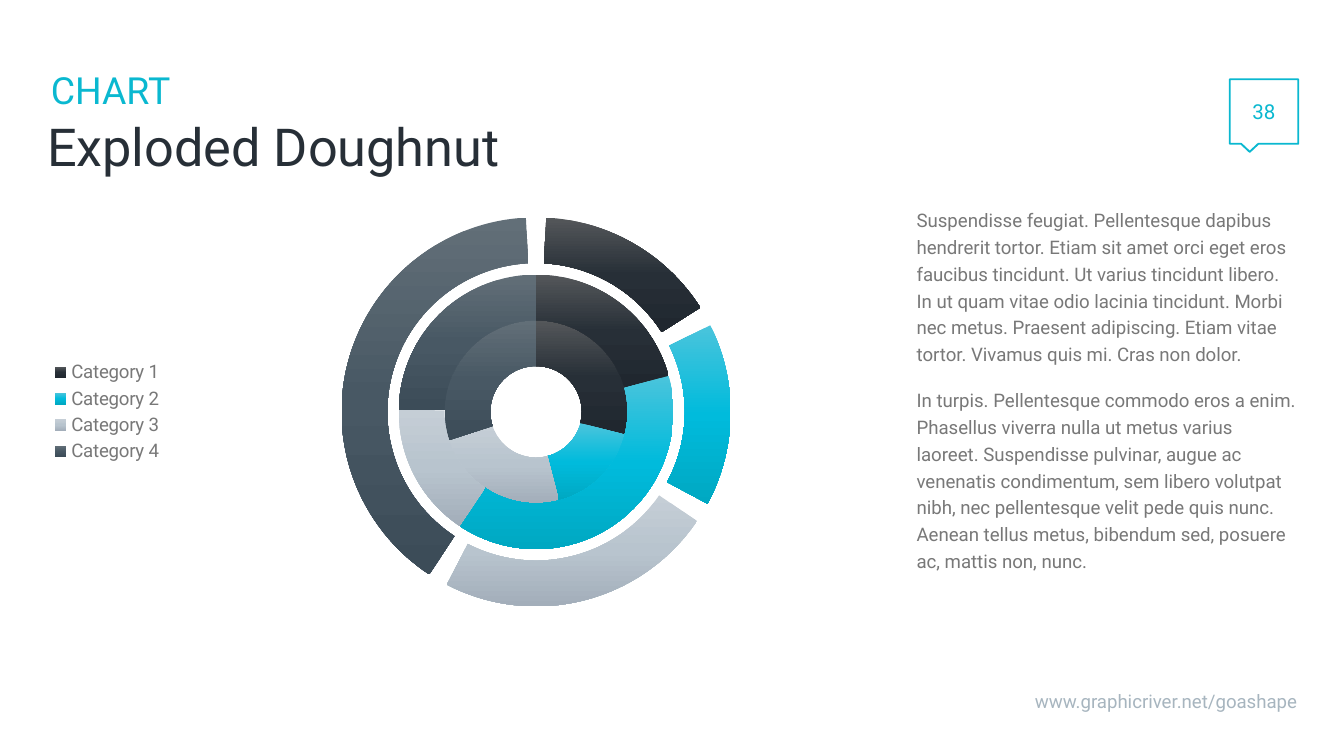
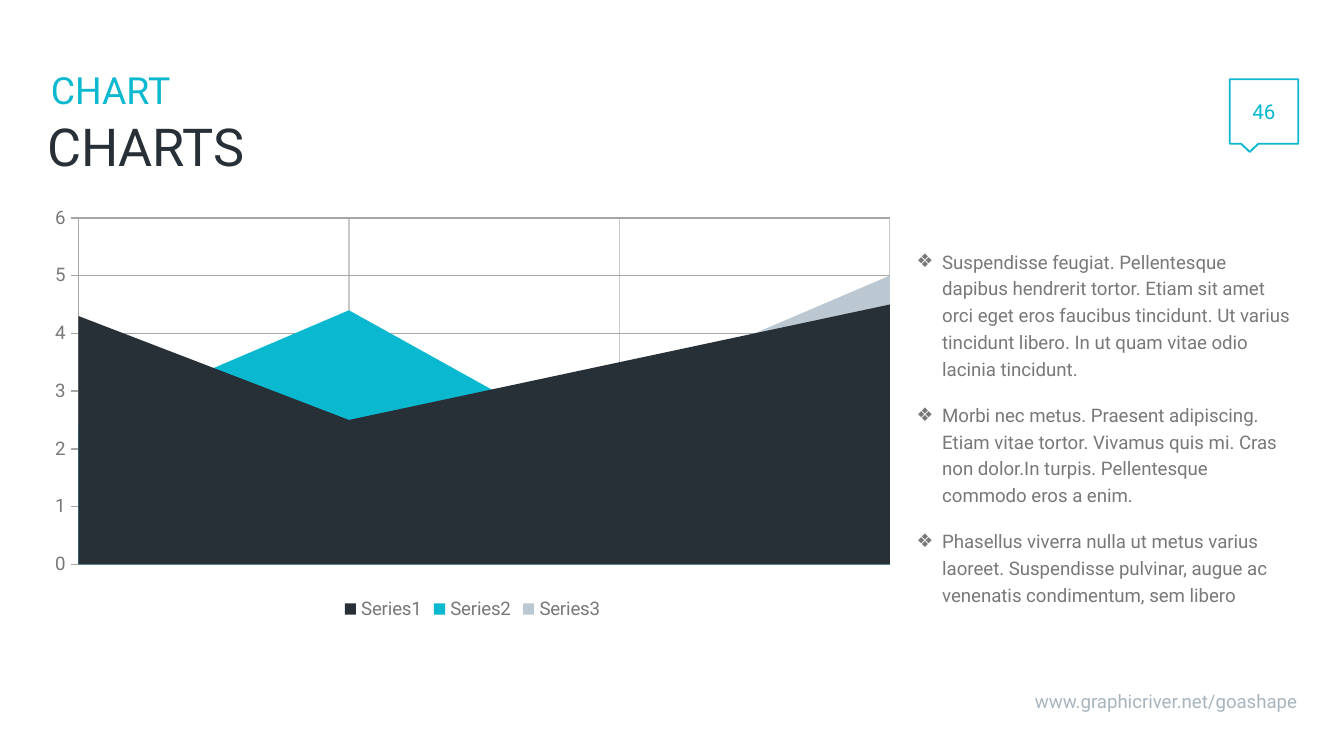
"""Build two chart slides that share a heading, a page callout and a footer."""
from copy import deepcopy
from lxml.etree import SubElement
from pptx import Presentation
from pptx.chart.data import CategoryChartData
from pptx.dml.color import RGBColor
from pptx.enum.chart import XL_CHART_TYPE as CT, XL_LEGEND_POSITION as LP, XL_TICK_MARK as TM
from pptx.enum.shapes import MSO_SHAPE
from pptx.enum.text import MSO_ANCHOR as ANCHOR, MSO_AUTO_SIZE, PP_ALIGN as ALIGN
from pptx.oxml.ns import qn
from pptx.util import Inches, Pt

FONT = "Roboto"
COLORS = {
    "dark": "272F37", "teal": "0AB8D0", "silver": "BCC8D1", "text": "787878",
    "footer": "A7B5BF", "grid": "A6A6A6", "light_grid": "C8C8C8",
}
GRADIENTS = [("54575A", "272F37", "20272F"), ("4AC4DC", "00BBDC", "00A8C2"),
             ("C5CED6", "B8C4CE", "A3AEBA"), ("626F78", "485864", "3C4C58")]
CHART_BOX = (0.28, 1.48, 6.47, 3.17)
BODY_BOX = (6.75, 1.48, 2.97, 3.17)


def rgb(value):
    return RGBColor.from_string(COLORS.get(value, value))


def place(sp, box):
    sp.left, sp.top, sp.width, sp.height = map(Inches, box)


def set_bullet(p, bullet):
    pPr = p._p.get_or_add_pPr()
    indent = Inches(0.19) if bullet else 0
    pPr.set("marL", str(indent))
    pPr.set("indent", str(-indent))
    if bullet:
        SubElement(pPr, qn("a:buChar")).set("char", bullet)
    else:
        SubElement(pPr, qn("a:buNone"))


def write(sp, *texts, size=10, color="text", align=ALIGN.LEFT, anchor=ANCHOR.TOP,
          inset=(0.07, 0, 0.07, 0), spacing=1, before=0, bullet=None, wrap=True):
    tf = sp.text_frame
    tf.auto_size = MSO_AUTO_SIZE.NONE
    tf.word_wrap = wrap
    tf.vertical_anchor = anchor
    tf.margin_left, tf.margin_top, tf.margin_right, tf.margin_bottom = map(Inches, inset)
    for i, text in enumerate(texts):
        p = tf.paragraphs[0] if i == 0 else tf.add_paragraph()
        set_bullet(p, bullet)
        p.alignment = align
        p.line_spacing = spacing
        p.space_before = Pt(before if i else 0)
        r = p.add_run()
        r.text = text
        r.font.name, r.font.size = FONT, Pt(size)
        r.font.color.rgb = rgb(color)


def add_text(s, box, text, **fmt):
    write(s.shapes.add_textbox(*map(Inches, box)), text, **fmt)


def add_callout(s, number):
    sp = s.shapes.add_shape(MSO_SHAPE.RECTANGULAR_CALLOUT,
                            *map(Inches, (9.15, 0.59, 0.51, 0.48)))
    sp.shadow.inherit = False
    sp.fill.background()
    sp.line.color.rgb = rgb("teal")
    sp.line.width = Pt(1)
    write(sp, number, size=11, color="teal", align=ALIGN.CENTER, anchor=ANCHOR.MIDDLE,
          inset=(0.16, 0.15, 0.16, 0.15), wrap=False)


def add_slide(prs, title, number, paragraphs, inset=(0.07, 0.04, 0.07, 0.04), bullet=None):
    s = prs.slides.add_slide(prs.slide_layouts[1])
    add_text(s, (0.28, 0.47, 8.64, 0.43), "CHART", size=20, color="teal",
             anchor=ANCHOR.MIDDLE, inset=(0.1, 0.05, 0.1, 0.05), spacing=0.9)
    place(s.shapes.title, (0.28, 0.9, 8.64, 0.42))
    write(s.shapes.title, title, size=28, color="dark", spacing=0.9)
    add_text(s, (5, 4.83, 4.72, 0.47), "www.graphicriver.net/goashape",
             color="footer", align=ALIGN.RIGHT, anchor=ANCHOR.BOTTOM)
    body = s.placeholders[1]
    place(body, BODY_BOX)
    write(body, *paragraphs, inset=inset, spacing=1.2, before=10, bullet=bullet)
    add_callout(s, number)
    return s


def add_chart(s, kind, categories, series, legend):
    data = CategoryChartData()
    data.categories = categories
    for name, values in series.items():
        data.add_series(name, values)
    chart = s.shapes.add_chart(kind, *map(Inches, CHART_BOX), data).chart
    chart.has_title = False
    chart.font.name, chart.font.size = FONT, Pt(10)
    chart.font.color.rgb = rgb("text")
    chart.has_legend = True
    chart.legend.position = legend
    chart.legend.include_in_layout = False
    return chart


def fill_gradient(point, ser_el, colors):
    fill = point.format.fill
    fill.gradient()
    fill.gradient_angle = 270
    first = list(ser_el.iter(qn("a:gsLst")))[-1][0]
    middle = deepcopy(first)
    middle.set("pos", "50000")
    first.addnext(middle)
    for stop, color in zip(fill.gradient_stops, colors):
        stop.color.rgb = rgb(color)


def add_doughnut(s):
    chart = add_chart(s, CT.DOUGHNUT_EXPLODED, [f"Category {n}" for n in range(1, 5)], {
        "Series 1": (29, 17, 24, 30),
        "Series 2": (21, 39, 16, 25),
        "Series 3": (17, 17, 25, 42),
    }, LP.LEFT)
    plot = chart.plots[0]
    plot.vary_by_categories = True
    for ser in plot.series:
        el = ser._element
        for old in el.findall(qn("c:explosion")):
            el.remove(old)
        explosion = SubElement(el, qn("c:explosion"))
        explosion.set("val", "25")
        el.find(qn("c:tx")).addnext(explosion)
        for i, colors in enumerate(GRADIENTS):
            point = ser.points[i]
            point.format.line.fill.background()
            fill_gradient(point, el, colors)


def add_area(s):
    chart = add_chart(s, CT.AREA, ["1", "2", "3", "4"], {
        "Series1": (4.3, 2.5, 3.5, 4.5),
        "Series2": (2.4, 4.4, 1.8, 2.8),
        "Series3": (2, 2, 3, 5),
    }, LP.BOTTOM)
    plot = chart.plots[0]
    plot.vary_by_categories = False
    for ser, color in zip(plot.series, ("dark", "teal", "silver")):
        ser.format.fill.solid()
        ser.format.fill.fore_color.rgb = rgb(color)
    val, cat = chart.value_axis, chart.category_axis
    for axis, color in ((val, "grid"), (cat, "light_grid")):
        axis.has_major_gridlines = True
        axis.major_gridlines.format.line.color.rgb = rgb(color)
        axis.major_gridlines.format.line.width = Pt(0.75)
    cat.visible = False
    val.minimum_scale, val.maximum_scale, val.major_unit = 0, 6, 1
    val.major_tick_mark = TM.OUTSIDE
    val.format.line.color.rgb = rgb("grid")
    val.tick_labels.number_format = "General"
    val.tick_labels.number_format_is_linked = False
    val._element.find(qn("c:crossBetween")).set("val", "midCat")


def main():
    prs = Presentation()
    prs.slide_width = Inches(10)
    prs.slide_height = prs.slide_width * 9 // 16
    add_doughnut(add_slide(prs, "Exploded Doughnut", "38", [
        "Suspendisse feugiat. Pellentesque dapibus hendrerit tortor. Etiam sit amet orci "
        "eget eros faucibus tincidunt. Ut varius tincidunt libero. In ut quam vitae odio "
        "lacinia tincidunt. Morbi nec metus. Praesent adipiscing. Etiam vitae tortor. "
        "Vivamus quis mi. Cras non dolor.",
        "In turpis. Pellentesque commodo eros a enim. Phasellus viverra nulla ut metus "
        "varius laoreet. Suspendisse pulvinar, augue ac venenatis condimentum, sem libero "
        "volutpat nibh, nec pellentesque velit pede quis nunc. Aenean tellus metus, "
        "bibendum sed, posuere ac, mattis non, nunc.",
    ]))
    add_area(add_slide(prs, "CHARTS", "46", [
        "Suspendisse feugiat. Pellentesque dapibus hendrerit tortor. Etiam sit amet orci "
        "eget eros faucibus tincidunt. Ut varius tincidunt libero. In ut quam vitae odio "
        "lacinia tincidunt.",
        "Morbi nec metus. Praesent adipiscing. Etiam vitae tortor. Vivamus quis mi. Cras "
        "non dolor.In turpis. Pellentesque commodo eros a enim.",
        "Phasellus viverra nulla ut metus varius laoreet. Suspendisse pulvinar, augue ac "
        "venenatis condimentum, sem libero",
    ], inset=(0.07, 0.35, 0.1, 0.04), bullet="❖"))
    prs.save("out.pptx")


if __name__ == "__main__":
    main()
